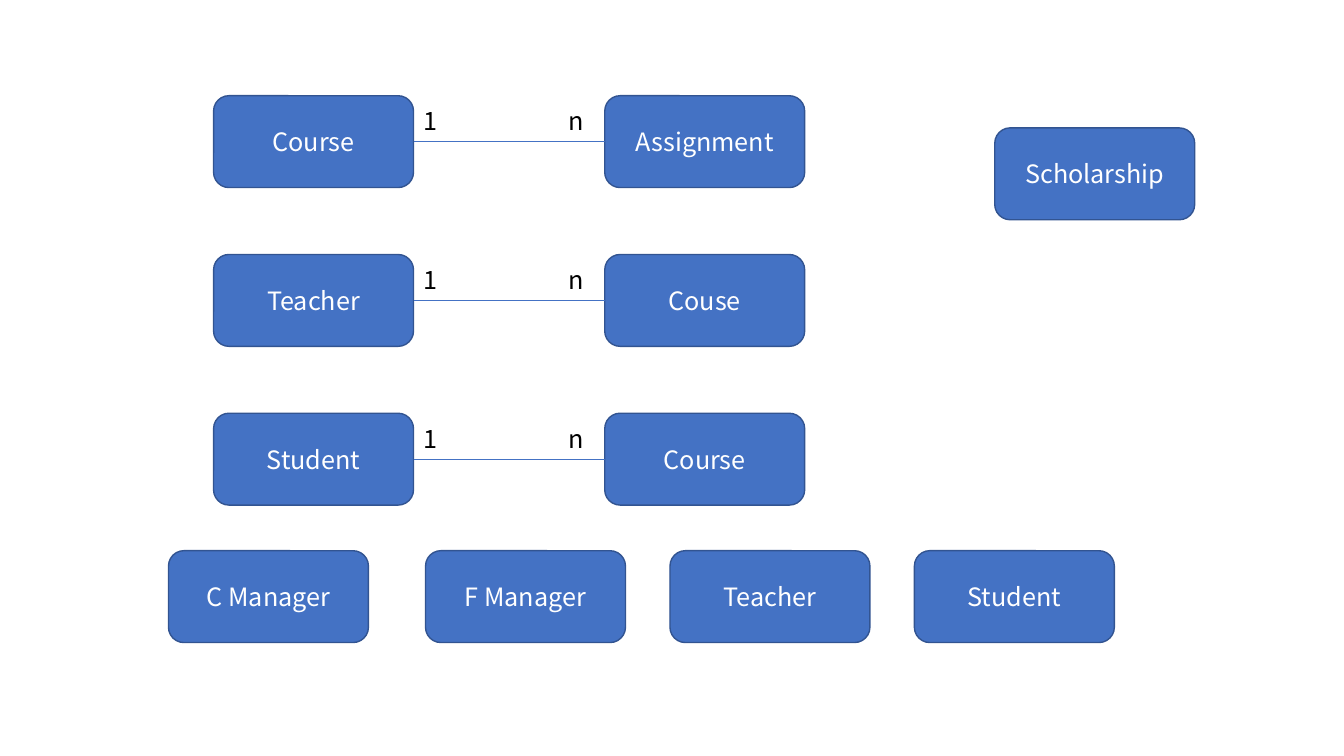
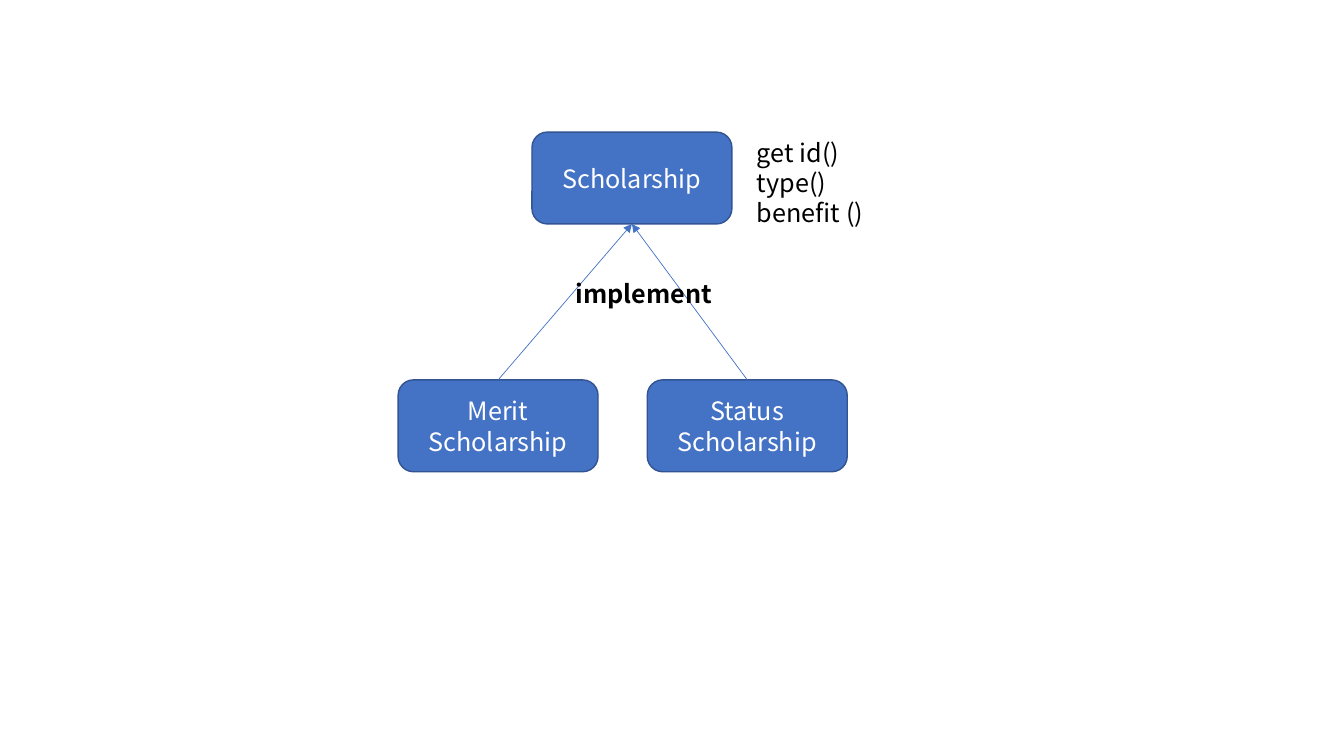
from pptx import Presentation
from pptx.dml.color import RGBColor
from pptx.enum.shapes import MSO_CONNECTOR, MSO_SHAPE
from pptx.enum.text import MSO_ANCHOR, PP_ALIGN
from pptx.oxml.ns import qn
from pptx.util import Pt
from lxml.etree import SubElement

BLUE = RGBColor(0x44, 0x72, 0xC4)
EDGE = RGBColor(0x32, 0x54, 0x91)
WHITE = RGBColor(0xFF, 0xFF, 0xFF)
BLACK = RGBColor(0, 0, 0)
FONT = {"name": "Noto Sans CJK SC", "size": Pt(18)}
BOX_W, BOX_H = 142.8, 65.6
TOP, BOTTOM, LEFT, RIGHT = 0, 2, 1, 3

RELATIONS = [("Course", "Assignment"), ("Teacher", "Couse"), ("Student", "Course")]
ONE_X, MANY_X, FIRST_Y, PITCH_Y = 152.6, 432, 68.4, 113.4
LABEL_DY, LABEL_H, MANY_TAB = 3.6, 29, 103.5
SINGLE = ("Scholarship", 710.6, 91.4)
ROLES = [("C Manager", 120.4), ("F Manager", 304), ("Teacher", 478.6), ("Student", 653.2)]
ROLES_Y = 393.4

PARENT = ("Scholarship", 380, 94.4)
CHILDREN = [("Merit Scholarship", 284.4), ("Status Scholarship", 462.4)]
CHILDREN_Y = 271.4
METHODS = ["get id()", "type()", "benefit ()"]


def write(tf, lines, align, **font):
    tf.word_wrap = True
    for i, line in enumerate(lines):
        p = tf.paragraphs[0] if i == 0 else tf.add_paragraph()
        p.alignment = align
        r = p.add_run()
        r.text = line
        r.font.color.rgb = font.get("color", BLACK)
        for key, value in {**FONT, "bold": font.get("bold", False)}.items():
            setattr(r.font, key, value)


def add_box(slide, text, x, y):
    sp = slide.shapes.add_shape(MSO_SHAPE.ROUNDED_RECTANGLE, Pt(x), Pt(y), Pt(BOX_W), Pt(BOX_H))
    sp.shadow.inherit = False
    sp.fill.solid()
    sp.fill.fore_color.rgb = BLUE
    sp.line.color.rgb = EDGE
    sp.line.width = Pt(1)
    sp.text_frame.vertical_anchor = MSO_ANCHOR.MIDDLE
    write(sp.text_frame, [text], PP_ALIGN.CENTER, color=WHITE)
    return sp


def add_text(slide, lines, x, y, w, h, **font):
    tf = slide.shapes.add_textbox(Pt(x), Pt(y), Pt(w), Pt(h)).text_frame
    write(tf, lines, PP_ALIGN.LEFT, **font)
    return tf


def link(slide, start, start_site, end, end_site, arrow=False):
    line = slide.shapes.add_connector(MSO_CONNECTOR.STRAIGHT, 0, 0, 0, 0)
    line.begin_connect(start, start_site)
    line.end_connect(end, end_site)
    line.line.color.rgb = BLUE
    line.line.width = Pt(0.5)
    props = line._element.spPr
    if arrow:
        SubElement(props.find(qn("a:ln")), qn("a:tailEnd"), type="triangle")
    SubElement(props, qn("a:effectLst"))


def add_relation(slide, one, many, y):
    one_box = add_box(slide, one, ONE_X, y)
    many_box = add_box(slide, many, MANY_X, y)
    link(slide, one_box, RIGHT, many_box, LEFT)
    x = ONE_X + BOX_W
    tf = add_text(slide, ["1\tn"], x, y + LABEL_DY, MANY_X - x, LABEL_H)
    tabs = SubElement(tf.paragraphs[0]._p.get_or_add_pPr(), qn("a:tabLst"))
    SubElement(tabs, qn("a:tab"), pos=str(Pt(MANY_TAB)), algn="l")


prs = Presentation()
prs.slide_width, prs.slide_height = Pt(960), Pt(540)
blank = prs.slide_layouts[6]

entities = prs.slides.add_slide(blank)
for row, (one, many) in enumerate(RELATIONS):
    add_relation(entities, one, many, FIRST_Y + row * PITCH_Y)
add_box(entities, *SINGLE)
for role, x in ROLES:
    add_box(entities, role, x, ROLES_Y)

hierarchy = prs.slides.add_slide(blank)
parent = add_box(hierarchy, *PARENT)
for name, x in CHILDREN:
    child = add_box(hierarchy, name, x, CHILDREN_Y)
    link(hierarchy, child, TOP, parent, BOTTOM, arrow=True)
add_text(hierarchy, METHODS, 533.6, 94.4, 106.6, 72.8)
add_text(hierarchy, ["implement"], 404, 195.2, 251, 29.2, bold=True)

prs.save("out.pptx")
